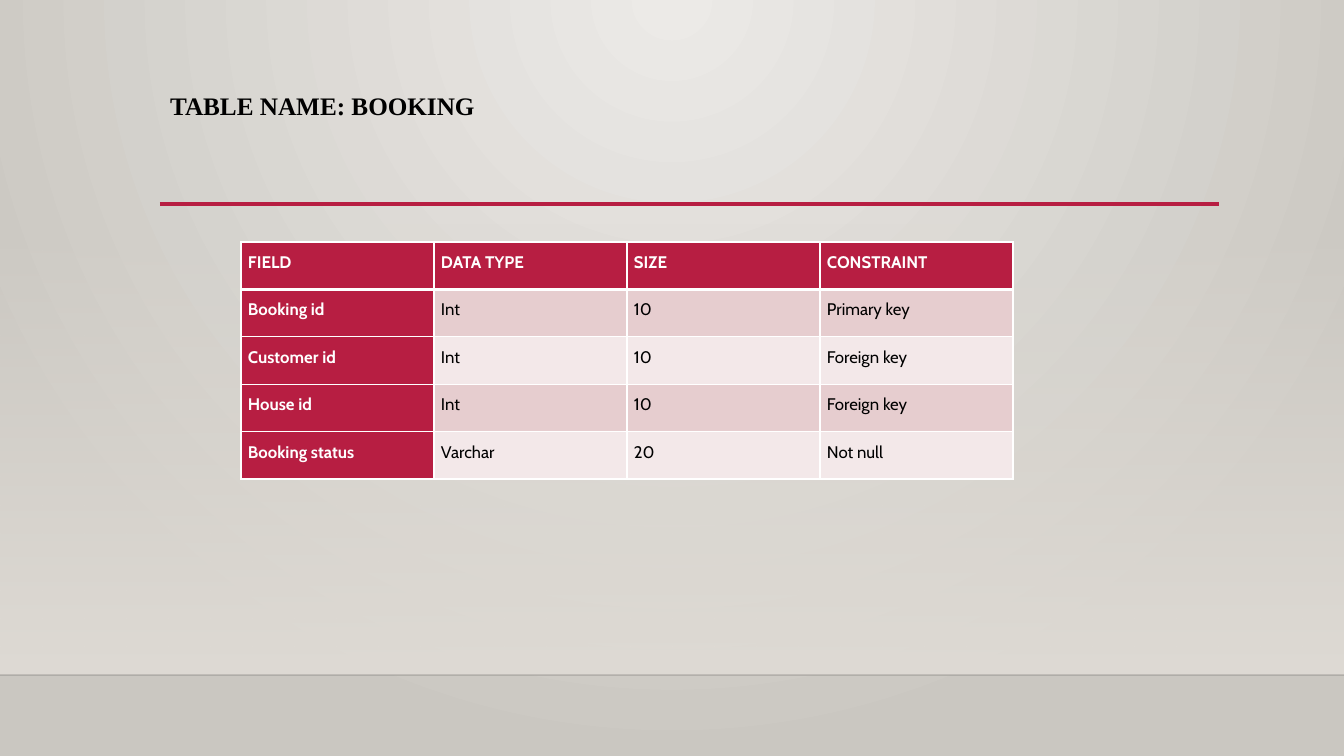
from lxml import etree
from pptx import Presentation
from pptx import util as u
from pptx.dml.color import RGBColor
from pptx.enum import shapes, text
from pptx.oxml import ns


def rgb(value):
    return RGBColor.from_string(value)


def px(count):
    return u.Inches(count / 100.8)


def add_node(parent, tag, **attributes):
    return etree.SubElement(parent, ns.qn(tag), attributes)


class BookingSlide:
    ACCENT = "B71E42"
    WHITE = "FFFFFF"
    BLACK = "000000"
    BANDS = ("E6CDCF", "F3E8E9")
    BODY_FONT = "Cabin"
    TITLE_FONT = "Times New Roman"

    def __init__(self, deck):
        self.slide = deck.slides.add_slide(deck.slide_layouts[5])

    def gradient(self, fill, colors):
        fill.gradient()
        for stop, color in zip(fill.gradient_stops, colors):
            stop.color.rgb = rgb(color)

    def background(self, center, edge):
        self.gradient(self.slide.background.fill, (center, edge))
        linear = next(self.slide.element.iter(ns.qn("a:lin")))
        gradient = linear.getparent()
        gradient.remove(linear)
        radial = add_node(gradient, "a:path", path="circle")
        add_node(radial, "a:fillToRect", l="43000", t="0", r="43000", b="100000")

    def wall(self, left, top, width, height, color):
        wall = self.slide.shapes.add_shape(
            shapes.MSO_SHAPE.RECTANGLE, px(left), px(top), px(width), px(height))
        wall.shadow.inherit = False
        wall.line.fill.background()
        self.gradient(wall.fill, (color, color))
        wall.fill.gradient_angle = 270
        first_color = next(wall.element.spPr.iter(ns.qn("a:srgbClr")))
        add_node(first_color, "a:alpha", val="0")

    def rule(self, left, right, y, color, weight, opacity=100):
        rule = self.slide.shapes.add_connector(
            shapes.MSO_CONNECTOR.STRAIGHT, px(left), px(y), px(right), px(y))
        rule.line.color.rgb = rgb(color)
        rule.line.width = u.Pt(weight)
        if opacity < 100:
            line_color = next(rule._element.spPr.iter(ns.qn("a:srgbClr")))
            add_node(line_color, "a:alpha", val=str(opacity * 1000))
        add_node(rule._element.spPr, "a:effectLst")

    def add_words(self, paragraph, words, font, size, color, bold, spacing):
        paragraph.alignment = text.PP_ALIGN.LEFT
        paragraph.line_spacing = spacing
        run = paragraph.add_run()
        run.text = words
        run.font.name = font
        run.font.size = u.Pt(size)
        run.font.bold = bold
        run.font.color.rgb = rgb(color)

    def title(self, words, left, top, width, height):
        title = self.slide.shapes.title
        self.slide.shapes._spTree.append(title._element)
        title.left, title.top = px(left), px(top)
        title.width, title.height = px(width), px(height)
        frame = title.text_frame
        frame.word_wrap = True
        frame.auto_size = text.MSO_AUTO_SIZE.NONE
        frame.vertical_anchor = text.MSO_ANCHOR.TOP
        self.add_words(frame.paragraphs[0], words, self.TITLE_FONT, 18,
                       self.BLACK, True, 0.9)

    def borders(self, cell, bottom):
        properties = cell._tc.get_or_add_tcPr()
        weights = {"a:lnL": 1, "a:lnR": 1, "a:lnT": 1, "a:lnB": bottom}
        for index, (side, weight) in enumerate(weights.items()):
            border = add_node(properties, side, w=str(u.Pt(weight)))
            add_node(add_node(border, "a:solidFill"), "a:srgbClr", val=self.WHITE)
            properties.insert(index, border)

    def table(self, records, left, top, width, height):
        table = self.slide.shapes.add_table(
            len(records), len(records[0]), px(left), px(top),
            px(width), px(height)).table
        table.first_col = True
        table.horz_banding = False
        for row, record in enumerate(records):
            for column, words in enumerate(record):
                heading = row == 0 or column == 0
                cell = table.cell(row, column)
                cell.margin_left = cell.margin_right = px(7)
                cell.margin_top = cell.margin_bottom = 0
                cell.vertical_anchor = text.MSO_ANCHOR.TOP
                cell.fill.solid()
                cell.fill.fore_color.rgb = rgb(
                    self.ACCENT if heading else self.BANDS[(row - 1) % 2])
                self.borders(cell, 3 if row == 0 else 1)
                self.add_words(cell.text_frame.paragraphs[0], words, self.BODY_FONT,
                               12, self.WHITE if heading else self.BLACK, heading, 1.5)


def main():
    deck = Presentation()
    deck.slide_width, deck.slide_height = px(1344), px(756)
    booking = BookingSlide(deck)
    booking.background("ECEAE7", "CAC7C1")
    booking.wall(0, 223, 1344, 452, "DFDBD5")
    booking.rule(0, 1344, 675, "000001", 1, opacity=20)
    booking.rule(160, 1219, 204, booking.ACCENT, 2.5)
    booking.title("TABLE NAME: BOOKING", 160, 89, 1058, 116)
    fields = [
        ("FIELD", "DATA TYPE", "SIZE", "CONSTRAINT"),
        ("Booking id", "Int", "10", "Primary key"),
        ("Customer id", "Int", "10", "Foreign key"),
        ("House id", "Int", "10", "Foreign key"),
        ("Booking status", "Varchar", "20", "Not null"),
    ]
    booking.table(fields, 241, 242, 772, 237)
    deck.save("out.pptx")


if __name__ == "__main__":
    main()
